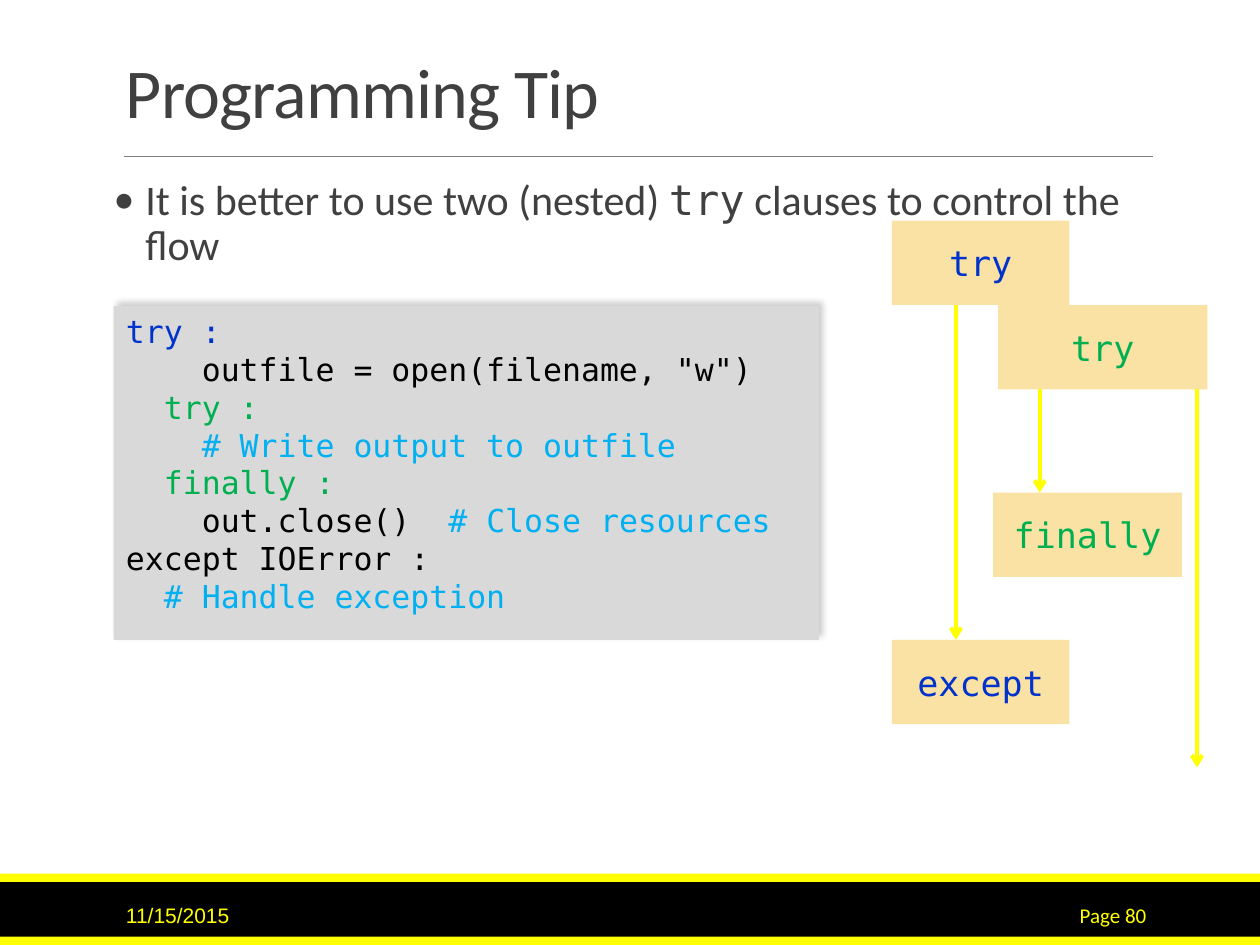
from dataclasses import dataclass
from lxml import etree
from pptx import Presentation
from pptx.dml.color import RGBColor
from pptx.enum.shapes import MSO_CONNECTOR, MSO_SHAPE
from pptx.enum.text import MSO_ANCHOR, PP_ALIGN
from pptx.oxml.ns import qn
from pptx.util import Cm, Pt

RECT, LINE = MSO_SHAPE.RECTANGLE, MSO_CONNECTOR.STRAIGHT
TOP, MIDDLE, BOTTOM = MSO_ANCHOR.TOP, MSO_ANCHOR.MIDDLE, MSO_ANCHOR.BOTTOM
LEFT, CENTER, RIGHT = PP_ALIGN.LEFT, PP_ALIGN.CENTER, PP_ALIGN.RIGHT


@dataclass(frozen=True)
class Theme:
    ink: str = "404040"
    black: str = "000000"
    yellow: str = "FFFF00"
    gray: str = "808080"
    panel: str = "D9D9D9"
    sand: str = "FAE1A4"
    blue: str = "0033CC"
    green: str = "00B050"
    sky: str = "00B0F0"
    sans: str = "Calibri"
    date: str = "Arial"
    mono: str = "DejaVu Sans Mono"
    title: int = 40
    body: int = 24
    node: int = 20
    code: int = 18
    foot: int = 12


T = Theme()
deck = Presentation()
deck.slide_width, deck.slide_height = Cm(25.4), Cm(19.05)
slide = deck.slides.add_slide(deck.slide_layouts[6])
shapes = slide.shapes


def add_box(x, y, w, h, fill=None, anchor=TOP):
    area = [Cm(v) for v in (x, y, w, h)]
    if fill:
        box = shapes.add_shape(RECT, *area)
        box.shadow.inherit = False
        box.fill.solid()
        box.fill.fore_color.rgb = RGBColor.from_string(fill)
        box.line.fill.background()
    else:
        box = shapes.add_textbox(*area)
    box.text_frame.word_wrap = True
    box.text_frame.vertical_anchor = anchor
    return box


def style(part, size, face=None, color=None):
    font = part.font
    if size:
        font.size = Pt(size)
    if face:
        font.name = face
    if color:
        font.color.rgb = RGBColor.from_string(color)


for y, h, fill in [(17.78, 1.27, T.black), (17.61, 0.17, T.yellow), (18.88, 0.17, T.yellow)]:
    add_box(0, y, 25.4, h, fill)

labels = [
    ("Programming Tip", 2.29, 0.79, 20.95, 2.01, None, BOTTOM, LEFT, T.title, T.sans, T.ink),
    ("11/15/2015", 2.29, 17.93, 5.16, 1.02, None, MIDDLE, LEFT, T.foot, T.date, T.yellow),
    ("Page 80", 20.62, 17.93, 2.74, 1.02, None, MIDDLE, RIGHT, T.foot, T.sans, T.yellow),
]
nodes = [
    ("try", 17.98, 4.45, 3.58, T.blue),
    ("try", 20.12, 6.15, 4.22, T.green),
    ("finally", 20.02, 9.93, 3.81, T.green),
    ("except", 17.98, 12.9, 3.58, T.blue),
]
for text, x, y, w, color in nodes:
    labels.append((text, x, y, w, 1.7, T.sand, MIDDLE, CENTER, T.node, T.mono, color))

for text, x, y, w, h, fill, anchor, align, size, face, color in labels:
    box = add_box(x, y, w, h, fill, anchor)
    para = box.text_frame.paragraphs[0]
    para.alignment = align
    run = para.add_run()
    run.text = text
    style(para, size, face, color)
    if size == T.title:
        para.line_spacing = 0.85
        run._r.get_or_add_rPr().set("spc", "-50")

frame = add_box(2.29, 3.48, 20.95, 12.83).text_frame
frame.margin_left = frame.margin_right = 0
para = frame.paragraphs[0]
para.line_spacing = 0.9
para.space_after = Pt(2)
props = para._p.get_or_add_pPr()
props.set("marL", str(Cm(0.64)))
props.set("indent", str(-Cm(0.64)))
etree.SubElement(props, qn("a:buFont")).set("typeface", T.sans)
etree.SubElement(props, qn("a:buChar")).set("char", "•")
style(para, T.body, color=T.ink)
for text, face in [
    ("It is better to use two (nested) ", T.sans),
    ("try", T.mono),
    (" clauses to control the flow", T.sans),
]:
    run = para.add_run()
    run.text = text
    style(run, None, face)

panel = add_box(2.29, 6.17, 14.22, 6.73, T.panel)
glow = etree.SubElement(
    panel._element.spPr.find(qn("a:effectLst")), qn("a:outerShdw"),
    blurRad=str(Pt(4)), dist=str(Pt(3)), dir="18900000", algn="bl", rotWithShape="0",
)
tint = etree.SubElement(glow, qn("a:srgbClr"), val=T.gray)
etree.SubElement(tint, qn("a:alpha"), val="40000")

code = [
    [("try :", T.blue)],
    [('    outfile = open(filename, "w")', T.black)],
    [("  try :", T.green)],
    [("    # Write output to outfile", T.sky)],
    [("  finally :", T.green)],
    [("    out.close()  ", T.black), ("# Close resources", T.sky)],
    [("except IOError :", T.black)],
    [("  # Handle exception", T.sky)],
]
frame = panel.text_frame
for i, parts in enumerate(code):
    para = frame.add_paragraph() if i else frame.paragraphs[0]
    para.alignment = LEFT
    props = para._p.get_or_add_pPr()
    props.set("marL", str(Cm(0.97)))
    props.set("indent", str(-Cm(0.97)))
    style(para, T.code, T.mono)
    for text, color in parts:
        run = para.add_run()
        run.text = text
        style(run, None, color=color)

lines = [
    (2.49, 3.15, 23.24, 3.15, T.gray, 0.5),
    (20.96, 7.85, 20.96, 9.93, T.yellow, 2.25),
    (19.27, 6.15, 19.27, 12.9, T.yellow, 2.25),
    (24.13, 7.85, 24.13, 15.47, T.yellow, 2.25),
]
for x, y, right, end, color, width in lines:
    link = shapes.add_connector(LINE, Cm(x), Cm(y), Cm(right), Cm(end))
    link.line.color.rgb = RGBColor.from_string(color)
    link.line.width = Pt(width)
    if color == T.yellow:
        etree.SubElement(link.line._get_or_add_ln(), qn("a:tailEnd"), type="arrow")
    etree.SubElement(link._element.spPr, qn("a:effectLst"))

deck.save("out.pptx")
